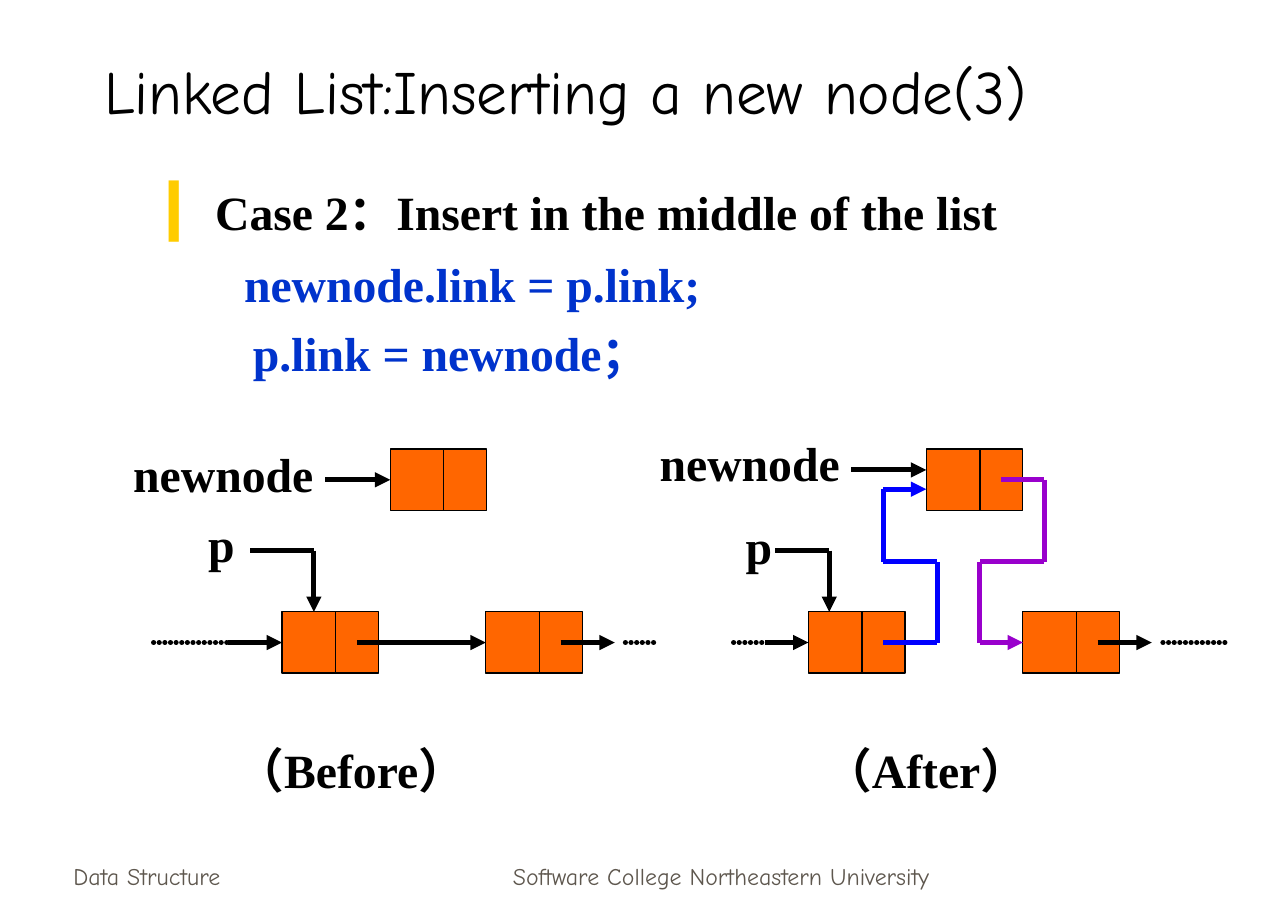
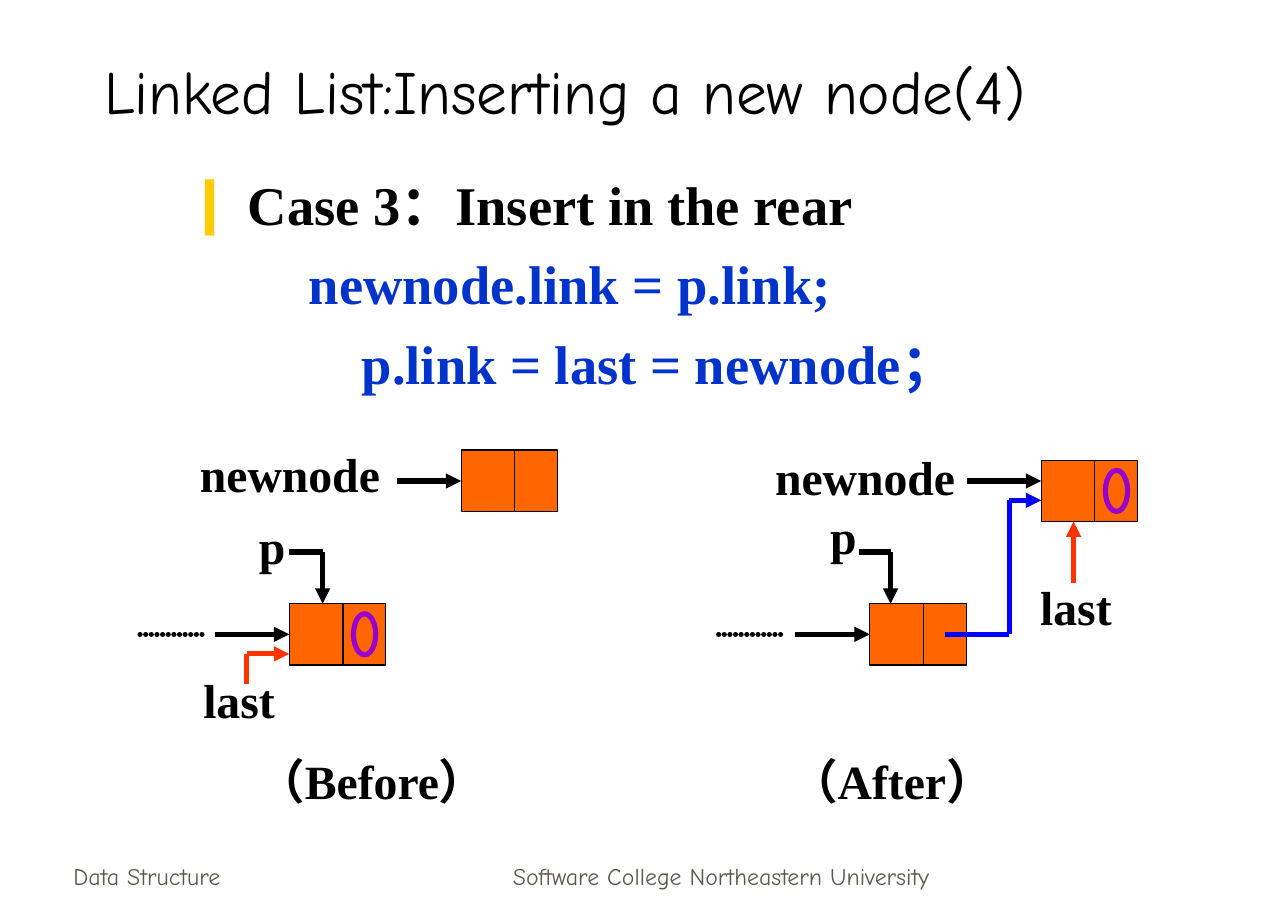
from pptx import Presentation
from pptx.dml.color import RGBColor
from pptx.enum.shapes import MSO_CONNECTOR as Conn, MSO_SHAPE as Form
from pptx.enum.text import MSO_ANCHOR as Anchor, MSO_AUTO_SIZE as Fit, PP_ALIGN as Align
from pptx.oxml.ns import qn
from pptx.util import Cm, Pt
from lxml.etree import SubElement as Sub

BLACK, BLUE, PURPLE, RED = "000000", "0000FF", "9900CC", "FF3300"
ORANGE, CODE, GOLD, GREY = "FF6600", "0033CC", "FFCC00", "5E574E"
HEAD, BODY = "Comic Neue", "Times New Roman"

# Node geometry in cm: full size, width of the data cell, start of the link
WIDE, HIGH, CELL, PORT = 2.0, 1.27, 1.11, 1.55
# Widths of the pointer labels in cm, with room to spare
WIDTHS = {"newnode": 4.8, "p": 1.3, "last": 2.4}


def rgb(code):
    return RGBColor.from_string(code)


class Deck:
    def __init__(self):
        self.prs = Presentation()
        self.prs.slide_width, self.prs.slide_height = Cm(26.67), Cm(19.05)
        self.slide = None

    def style(self, par, size, color=BLACK, font=BODY, bold=True):
        for run in par.runs:
            face = run.font
            face.name, face.size, face.bold = font, Pt(size), bold
            face.color.rgb = rgb(color)

    def place(self, shape, x, y, w, h):
        shape.left, shape.top, shape.width, shape.height = map(Cm, (x, y, w, h))

    # Page: title and footers
    def page(self, title):
        self.slide = self.prs.slides.add_slide(self.prs.slide_layouts[1])
        head = self.slide.shapes.title
        self.place(head, 1.9, 0.64, 22.68, 2.11)
        frame = head.text_frame
        frame.text = title
        frame.auto_size, frame.vertical_anchor = Fit.NONE, Anchor.BOTTOM
        frame.paragraphs[0].alignment = Align.LEFT
        self.style(frame.paragraphs[0], 36, font=HEAD, bold=False)
        self.foot("Data Structure", 1.27, 5.56, Align.LEFT)
        self.foot("Software College Northeastern University", 9.12, 11.63, Align.CENTER)

    def foot(self, text, x, w, align):
        frame = self.text(text, x, 17.3, w, 1.27)
        frame.vertical_anchor = Anchor.BOTTOM
        par = frame.paragraphs[0]
        par.alignment, par.space_before = align, Pt(8.8)
        self.style(par, 14, GREY, HEAD, False)

    # Body: a bulleted case line, then code lines as (text, indent)
    def case(self, text, lines, box, size, mark, gap):
        body = self.slide.placeholders[1]
        self.place(body, *box)
        frame = body.text_frame
        frame.auto_size, frame.vertical_anchor = Fit.NONE, Anchor.TOP
        par = frame.paragraphs[0]
        par.text, par.level, par.space_before = " ", 1, Pt(gap)
        self.style(par, mark, BLUE)
        run = par.add_run()
        run.text = text
        run.font.name, run.font.size, run.font.bold = BODY, Pt(size), True
        run.font.color.rgb = rgb(BLACK)
        props = self.indent(par, 2.06, -0.79)
        Sub(Sub(props, qn("a:buClr")), qn("a:srgbClr")).set("val", GOLD)
        Sub(props, qn("a:buChar")).set("char", "❙")
        for code, left in lines:
            par = frame.add_paragraph()
            par.text, par.level, par.space_before = code, 1, Pt(gap)
            self.style(par, size, CODE)
            Sub(self.indent(par, left, 0), qn("a:buNone"))

    def indent(self, par, left, first):
        props = par._p.get_or_add_pPr()
        props.set("marL", str(Cm(left)))
        props.set("indent", str(Cm(first)))
        return props

    # Plain text
    def text(self, text, x, y, w, h=1.45):
        box = self.slide.shapes.add_textbox(Cm(x), Cm(y), Cm(w), Cm(h))
        frame = box.text_frame
        frame.word_wrap = True
        frame.text = text
        self.style(frame.paragraphs[0], 28)
        return frame

    def label(self, text, x, y):
        self.text(text, x, y, WIDTHS[text])

    def notes(self, y, left, right):
        self.text("（Before）", left, y, 6)
        self.text("（After）", right, y, 6)

    # Diagram parts
    def shape(self, form, x, y, w, h, color, weight):
        item = self.slide.shapes.add_shape(form, Cm(x), Cm(y), Cm(w), Cm(h))
        item.shadow.inherit = False
        item.fill.solid()
        item.fill.fore_color.rgb = rgb(ORANGE)
        item.line.color.rgb, item.line.width = rgb(color), Pt(weight)

    def node(self, x, y, null=False):
        self.shape(Form.RECTANGLE, x, y, WIDE, HIGH, BLACK, 0.75)
        self.line((x + CELL, y), (x + CELL, y + HIGH), weight=0.75)
        if null:
            self.shape(Form.OVAL, x + 1.33, y + 0.21, 0.46, 0.85, PURPLE, 3)

    def line(self, start, end, color=BLACK, weight=3, arrow=False, dots=False):
        link = self.slide.shapes.add_connector(
            Conn.STRAIGHT, *map(Cm, (*start, *end)))
        link.line.color.rgb, link.line.width = rgb(color), Pt(weight)
        props = link.element.spPr
        edge = props.find(qn("a:ln"))
        if dots:
            edge.set("cap", "rnd")
            dash = Sub(Sub(edge, qn("a:custDash")), qn("a:ds"))
            dash.set("d", "100000")
            dash.set("sp", "10000")
        if arrow:
            Sub(edge, qn("a:tailEnd")).set("type", "triangle")
        Sub(props, qn("a:effectLst"))

    def route(self, *points, color=BLACK):
        last = len(points) - 2
        for k, (start, end) in enumerate(zip(points, points[1:])):
            self.line(start, end, color, arrow=k == last)

    def flat(self, y, x, end):
        self.route((x, y), (end, y))

    def dots(self, y, x, end):
        self.line((x, y), (end, y), dots=True)


def middle(deck):
    deck.page("Linked List:Inserting a new node(3)")
    deck.case("Case 2：Insert in the middle of the list",
              [("newnode.link = p.link;", 3.25), ("p.link = newnode；", 3.43)],
              (1.55, 3.38, 25.12, 15.04), 28, 36, 7)
    top, row = 9.3, 12.67
    new, mid, turn, bend = top + HIGH / 2, row + HIGH / 2, 11.4, 11.63

    # Before
    one, two, fresh = 5.84, 10.06, 8.08
    for x, y in ((one, row), (two, row), (fresh, top)):
        deck.node(x, y)
    deck.label("newnode", 2.51, 9.09)
    deck.flat(new, 6.73, fresh)
    deck.label("p", 4.06, 10.54)
    deck.route((5.18, turn), (6.5, turn), (6.5, row))
    deck.dots(mid, 3.18, 4.72)
    deck.flat(mid, 4.72, one)
    deck.flat(mid, one + PORT, two)
    deck.flat(mid, two + PORT, 12.73)
    deck.dots(mid, 12.95, 13.61)

    # After
    one, two, fresh = 16.74, 21.18, 19.18
    for x, y in ((one, row), (two, row), (fresh, top)):
        deck.node(x, y)
    deck.label("newnode", 13.41, 8.86)
    deck.flat(9.73, 17.63, fresh)
    deck.label("p", 15.19, 10.57)
    deck.route((16.05, turn), (17.17, turn), (17.17, row))
    deck.dots(mid, 15.19, 15.85)
    deck.flat(mid, 15.85, one)
    deck.route((fresh + PORT, new), (21.62, new), (21.62, bend),
               (20.29, bend), (20.29, mid), (two, mid), color=PURPLE)
    deck.route((one + PORT, mid), (19.41, mid), (19.41, bend),
               (18.29, bend), (18.29, 10.13), (fresh, 10.13), color=BLUE)
    deck.flat(mid, two + PORT, 23.85)
    deck.dots(mid, 24.08, 25.4)
    deck.notes(15.21, 4.65, 16.82)


def rear(deck):
    deck.page("Linked List:Inserting a new node(4)")
    deck.case("Case 3：Insert in the rear",
              [("newnode.link = p.link;", 3.8), ("p.link = last = newnode；", 4.9)],
              (2.34, 3.38, 23.34, 5.51), 32, 33, 8)
    row, new, turn = 12.5, 9.96, 11.43
    mid = row + HIGH / 2

    # Before
    tail, fresh = 5.99, 9.55
    deck.node(tail, row, null=True)
    deck.node(fresh, 9.32)
    deck.label("newnode", 3.89, 9.09)
    deck.flat(new, 8.23, fresh)
    deck.label("p", 5.11, 10.57)
    deck.route((tail, turn), (6.68, turn), (6.68, row))
    deck.dots(mid, 2.9, 4.22)
    deck.flat(mid, 4.45, tail)
    deck.label("last", 3.96, 13.77)
    deck.route((5.11, 14.17), (5.11, 13.54), (tail, 13.54), color=RED)

    # After
    tail, fresh, top = 18.01, 21.56, 9.53
    deck.node(tail, row)
    deck.node(fresh, top, null=True)
    deck.label("newnode", 15.8, 9.14)
    deck.flat(new, 20.02, fresh)
    deck.label("p", 16.94, 10.36)
    deck.route((17.78, turn), (18.44, turn), (18.44, row))
    deck.dots(mid, 14.88, 16.23)
    deck.flat(mid, 16.46, tail)
    deck.route((tail + PORT, mid), (20.9, mid), (20.9, 10.36),
               (fresh, 10.36), color=BLUE)
    deck.label("last", 21.29, 11.84)
    deck.route((22.23, 12.07), (22.23, top + HIGH), color=RED)
    deck.notes(15.44, 5.08, 16.11)


def main():
    deck = Deck()
    middle(deck)
    rear(deck)
    deck.prs.save("out.pptx")


if __name__ == "__main__":
    main()
